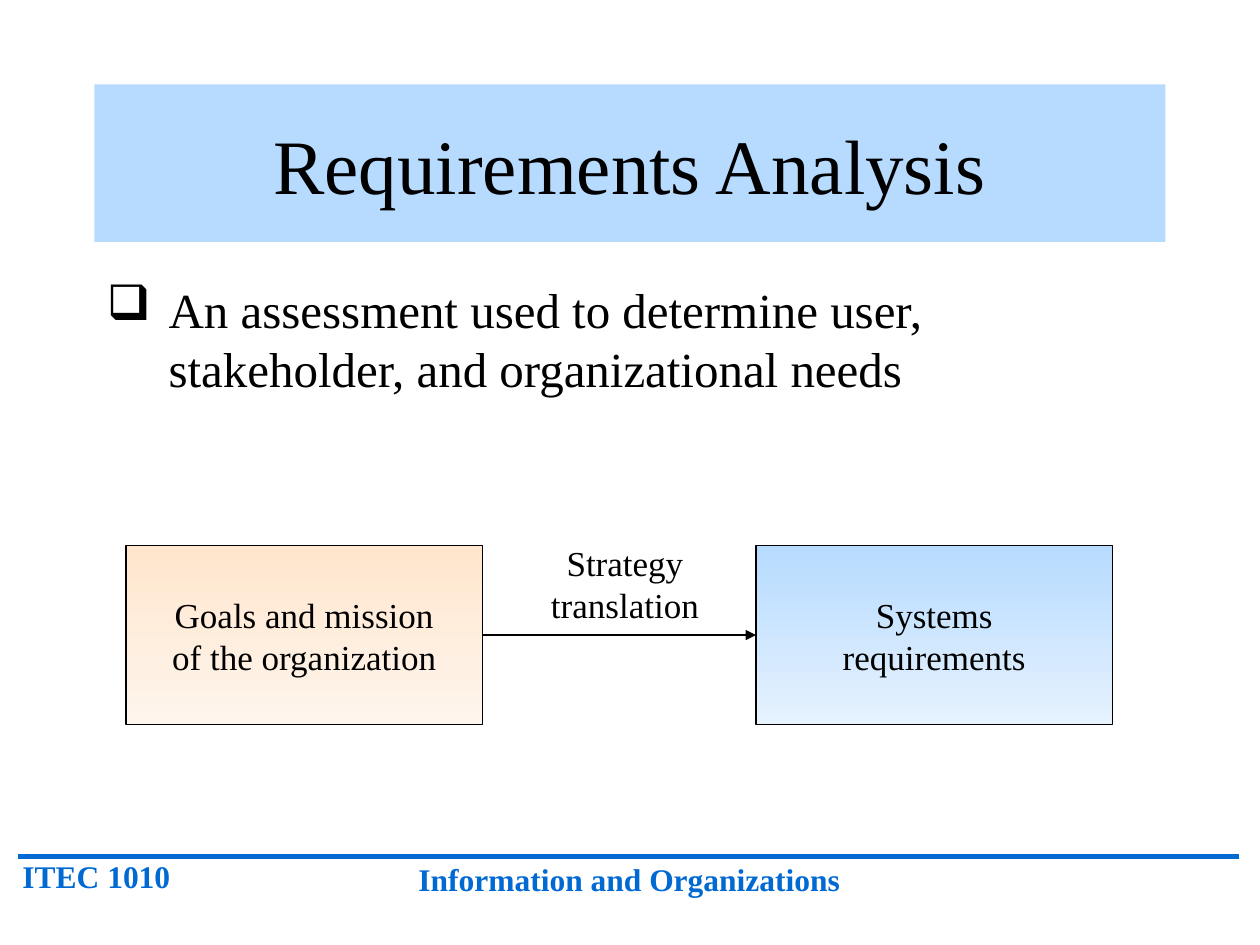
from dataclasses import dataclass

from lxml import etree
from pptx import Presentation
from pptx.dml.color import RGBColor
from pptx.enum.shapes import MSO_CONNECTOR, MSO_SHAPE
from pptx.enum.text import MSO_ANCHOR, PP_ALIGN
from pptx.oxml.ns import qn
from pptx.util import Inches, Pt

STRAIGHT = MSO_CONNECTOR.STRAIGHT
RECTANGLE = MSO_SHAPE.RECTANGLE
TOP, MIDDLE = MSO_ANCHOR.TOP, MSO_ANCHOR.MIDDLE
LEFT, CENTER = PP_ALIGN.LEFT, PP_ALIGN.CENTER


@dataclass(frozen=True)
class Theme:
    font: str = "Times New Roman"
    ink: str = "000000"
    accent: str = "0069D2"
    banner: str = "B7DBFF"
    goals: tuple = ("FFE6CD", "FEF5ED")
    systems: tuple = ("B7DBFF", "E6F2FE")
    title_size: float = 44
    body_size: float = 28
    label_size: float = 20
    footer_size: float = 18
    thin: float = 0.75
    thick: float = 3


class SlideBuilder:
    """Draws styled elements on the current slide."""

    def __init__(self, page, theme):
        self.page = page
        self.theme = theme

    def set_text(self, box, text, size, color=None, bold=False, align=CENTER,
                 anchor=TOP, wrap=True, bullet=None):
        frame = box.text_frame
        frame.word_wrap = wrap
        frame.vertical_anchor = anchor
        para = frame.paragraphs[0]
        para.text = text
        para.alignment = align
        if bullet:
            self.add_bullet(para, bullet)
        para.font.name = self.theme.font
        para.font.size = Pt(size)
        para.font.bold = bold
        para.font.color.rgb = RGBColor.from_string(color or self.theme.ink)

    def add_bullet(self, para, symbol):
        properties = para._p.get_or_add_pPr()
        indent = Inches(0.49)
        properties.set("marL", str(indent))
        properties.set("indent", str(-indent))
        bullet = etree.SubElement(properties, qn("a:buChar"))
        bullet.set("char", symbol)

    def text(self, left, top, width, height, text, size, **style):
        box = self.page.shapes.add_textbox(
            Inches(left), Inches(top), Inches(width), Inches(height))
        self.set_text(box, text, size, **style)

    def rectangle(self, left, top, width, height):
        box = self.page.shapes.add_shape(
            RECTANGLE, Inches(left), Inches(top), Inches(width), Inches(height))
        box.shadow.inherit = False
        return box

    def banner(self, left, top, width, height, text):
        box = self.rectangle(left, top, width, height)
        box.fill.solid()
        box.fill.fore_color.rgb = RGBColor.from_string(self.theme.banner)
        box.line.fill.background()
        self.set_text(box, text, self.theme.title_size, anchor=MIDDLE)

    def gradient_box(self, left, top, width, height, text, colors):
        box = self.rectangle(left, top, width, height)
        box.fill.gradient()
        box.fill.gradient_angle = 270
        for stop, color in zip(box.fill.gradient_stops, colors):
            stop.color.rgb = RGBColor.from_string(color)
        box.line.color.rgb = RGBColor.from_string(self.theme.ink)
        box.line.width = Pt(self.theme.thin)
        self.set_text(box, text, self.theme.label_size, anchor=MIDDLE, wrap=False)

    def line(self, start, end, y, color, width, arrow=False):
        connector = self.page.shapes.add_connector(
            STRAIGHT, Inches(start), Inches(y), Inches(end), Inches(y))
        connector.line.color.rgb = RGBColor.from_string(color)
        connector.line.width = Pt(width)
        properties = connector._element.spPr
        if arrow:
            outline = properties.find(qn("a:ln"))
            etree.SubElement(outline, qn("a:tailEnd")).set("type", "triangle")
        etree.SubElement(properties, qn("a:effectLst"))


def main():
    theme = Theme()
    deck = Presentation()
    deck.slide_width, deck.slide_height = Inches(10), Inches(7.5)
    builder = SlideBuilder(deck.slides.add_slide(deck.slide_layouts[6]), theme)

    builder.line(0.14, 9.83, 6.8, theme.accent, theme.thick)
    footer = {"size": theme.footer_size, "color": theme.accent, "bold": True}
    builder.text(0.08, 6.75, 1.67, 0.4, "ITEC 1010", align=LEFT, **footer)
    builder.text(2.58, 6.78, 4.83, 0.4, "Information and Organizations", **footer)

    builder.banner(0.75, 0.67, 8.5, 1.25, "Requirements Analysis")
    builder.text(
        0.75, 2.17, 8.5, 1.33,
        "An assessment used to determine user, stakeholder, and organizational needs",
        theme.body_size, align=LEFT, bullet="❑")

    goals_left, systems_left = 1, 6
    top, width, height = 4.33, 2.83, 1.42
    builder.gradient_box(goals_left, top, width, height,
                         "Goals and mission\nof the organization", theme.goals)
    builder.gradient_box(systems_left, top, width, height,
                         "Systems\nrequirements", theme.systems)
    builder.line(goals_left + width, systems_left, top + height / 2,
                 theme.ink, theme.thin, arrow=True)
    builder.text(4.17, 4.25, 1.58, 0.77, "Strategy\ntranslation", theme.label_size)

    deck.save("out.pptx")


if __name__ == "__main__":
    main()
